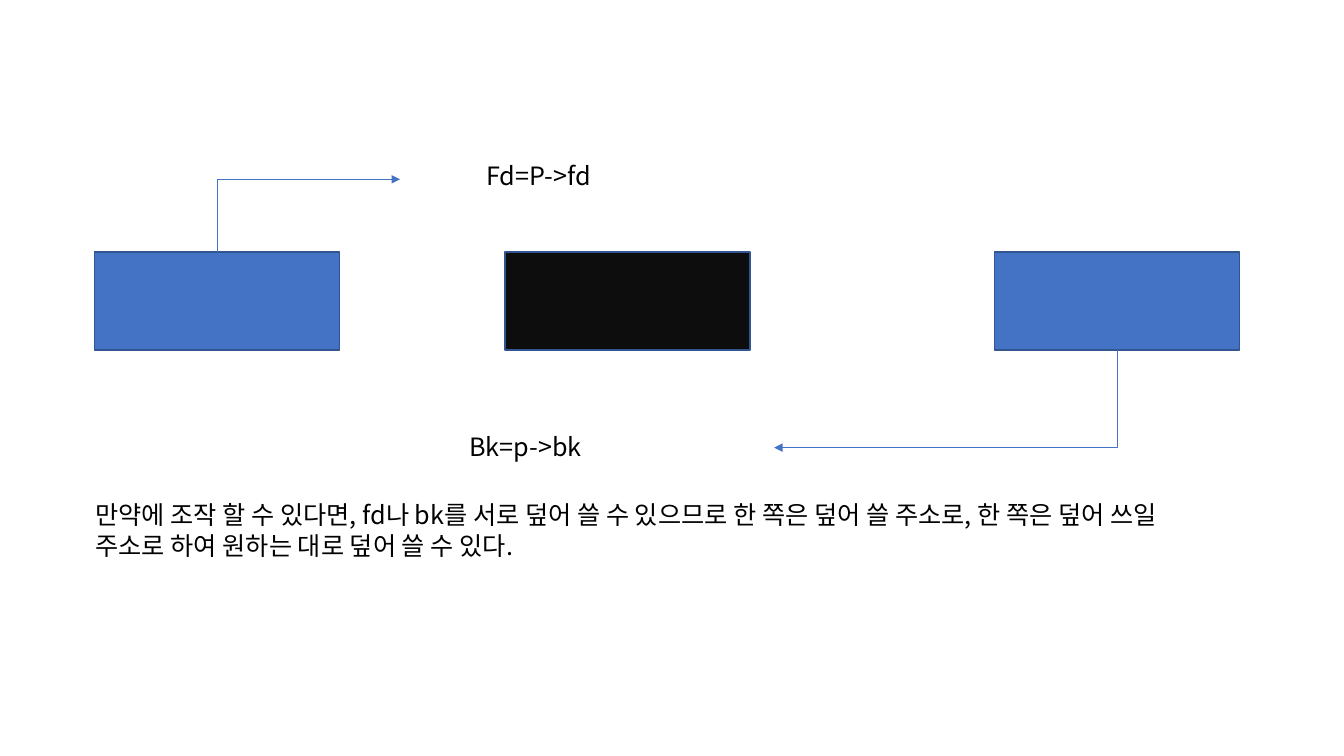
import pptx
import pptx.dml.color
import pptx.enum.shapes
import pptx.enum.text
import pptx.oxml
import pptx.oxml.ns
import pptx.util
from lxml import etree

Cm = pptx.util.Cm
COLORS = {"blue": "4472C4", "edge": "325491", "black": "0D0D0D", "text": "000000"}


def color(name):
    return pptx.dml.color.RGBColor.from_string(COLORS[name])


class SlideBuilder:
    """Holds the text style and the current slide."""

    font_name = "Noto Sans CJK KR"
    text_format = {"name": font_name, "size": pptx.util.Pt(18)}
    frame_format = {"word_wrap": True,
                    "auto_size": pptx.enum.text.MSO_AUTO_SIZE.SHAPE_TO_FIT_TEXT}

    def __init__(self, page):
        self.page = page

    def block(self, left, top, width, height, fill):
        box = self.page.shapes.add_shape(
            pptx.enum.shapes.MSO_SHAPE.RECTANGLE,
            Cm(left), Cm(top), Cm(width), Cm(height))
        box.shadow.inherit = False
        box.fill.solid()
        box.fill.fore_color.rgb = color(fill)
        box.line.color.rgb = color("edge")
        box.line.width = pptx.util.Pt(1)

    def text(self, left, top, width, height, words):
        box = self.page.shapes.add_textbox(Cm(left), Cm(top), Cm(width), Cm(height))
        for key, value in self.frame_format.items():
            setattr(box.text_frame, key, value)
        span = box.text_frame.paragraphs[0].add_run()
        span.text = words
        for key, value in self.text_format.items():
            setattr(span.font, key, value)
        span.font.color.rgb = color("text")
        east_asian = etree.SubElement(span.font._element, pptx.oxml.ns.qn("a:ea"))
        east_asian.set("typeface", self.font_name)
        # The Latin typeface comes before the East Asian one
        span.font._element.find(pptx.oxml.ns.qn("a:latin")).addnext(east_asian)

    def elbow_arrow(self, start, end):
        """Run vertically from start, then horizontally to end."""
        # The one-bend shape runs across first, so lay it out a quarter turn back
        center_x, center_y = ((a + b) / 2 for a, b in zip(start, end))
        half_x, half_y = ((b - a) / 2 for a, b in zip(start, end))
        arrow = self.page.shapes.add_connector(
            pptx.enum.shapes.MSO_CONNECTOR.ELBOW,
            Cm(center_x - half_y), Cm(center_y + half_x),
            Cm(center_x + half_y), Cm(center_y - half_x))
        arrow.line.color.rgb = color("blue")
        arrow.line.width = pptx.util.Pt(0.5)
        properties = arrow._element.spPr
        properties.find(pptx.oxml.ns.qn("a:xfrm")).set("rot", str(90 * 60000))
        properties.find(pptx.oxml.ns.qn("a:prstGeom")).set("prst", "bentConnector2")
        outline = properties.find(pptx.oxml.ns.qn("a:ln"))
        etree.SubElement(outline, pptx.oxml.ns.qn("a:tailEnd")).set("type", "triangle")
        etree.SubElement(properties, pptx.oxml.ns.qn("a:effectLst"))


def main():
    deck = pptx.Presentation()
    deck.slide_width, deck.slide_height = Cm(33.87), Cm(19.05)
    builder = SlideBuilder(deck.slides.add_slide(deck.slide_layouts[6]))

    # Chunks of the linked list
    for left, fill in ((2.39, "blue"), (12.73, "black"), (25.07, "blue")):
        builder.block(left, 6.35, 6.17, 2.47, fill)

    # Explanation
    builder.text(2.16, 12.47, 29.08, 1.8,
                 "만약에 조작 할 수 있다면, fd나 bk를 서로 덮어 쓸 수 있으므로 "
                 "한 쪽은 덮어 쓸 주소로, 한 쪽은 덮어 쓰일 주소로 하여 "
                 "원하는 대로 덮어 쓸 수 있다.")

    # Forward and backward pointers
    builder.elbow_arrow((5.47, 6.35), (10.08, 4.52))
    builder.elbow_arrow((28.16, 8.82), (19.51, 11.28))
    builder.text(11.58, 10.74, 7.92, 1.02, "Bk=p->bk")
    builder.text(12.01, 3.91, 7.92, 1.02, "Fd=P->fd")

    deck.save("out.pptx")


if __name__ == "__main__":
    main()
